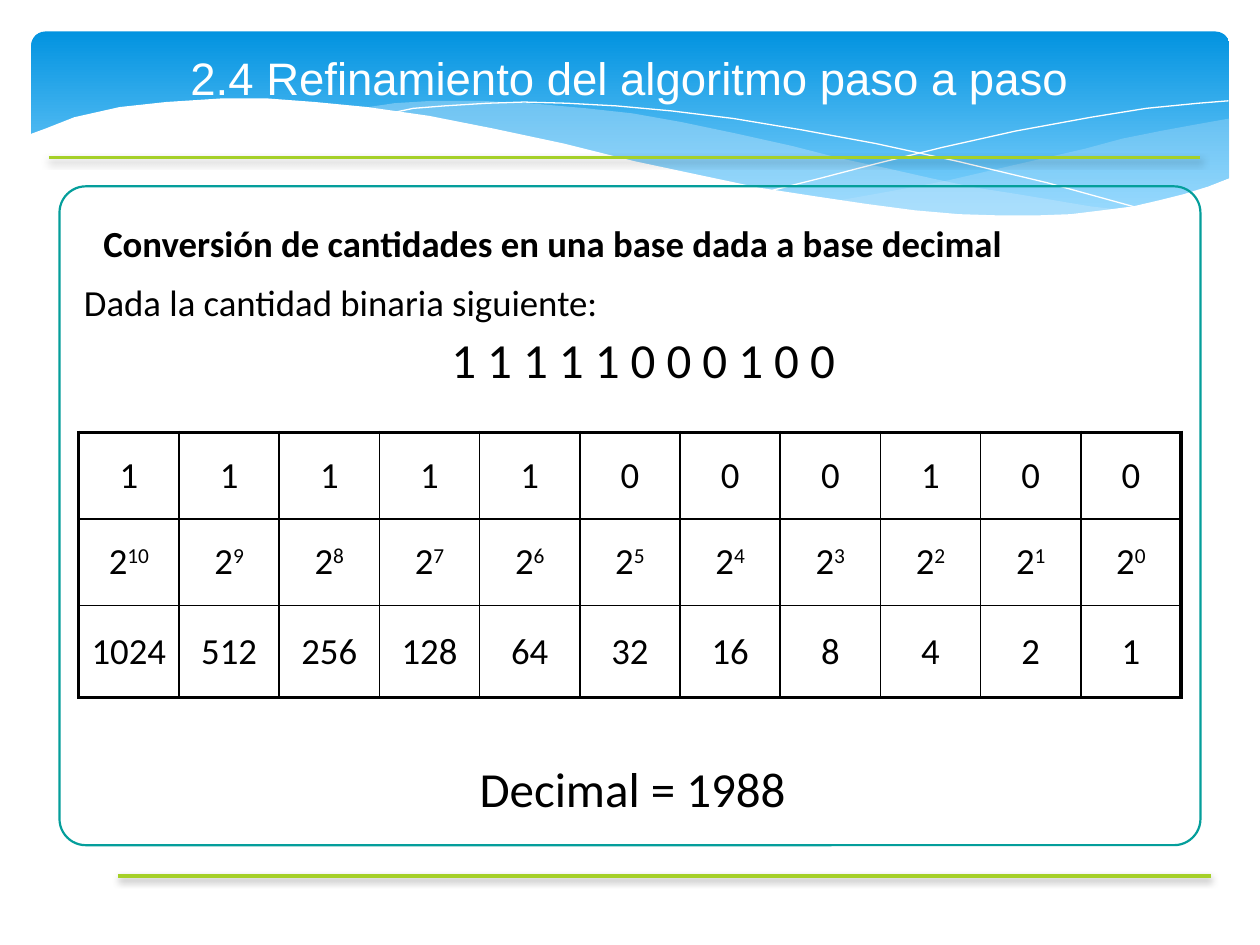
from dataclasses import dataclass
from lxml.etree import SubElement
from pptx import Presentation
from pptx.dml.color import RGBColor
from pptx.enum.shapes import MSO_CONNECTOR, MSO_SHAPE
from pptx.enum.text import MSO_ANCHOR, PP_ALIGN
from pptx.oxml.ns import qn
from pptx.util import Pt


@dataclass(frozen=True)
class Theme:
    black: str = "000000"
    white: str = "FFFFFF"
    sky_top: str = "0293E0"
    sky_bottom: str = "83D3FE"
    wave: str = "C6E7FC"
    rule: str = "A5D028"
    frame: str = "049E9B"
    body_font: str = "Calibri"
    title_font: str = "Arial"
    title_size: int = 26
    big_size: int = 28
    body_size: int = 21


@dataclass(frozen=True)
class Box:
    left: float
    top: float
    width: float
    height: float

    def inner(self, left, top, width, height):
        return Box(self.left + left, self.top + top, width, height)

    def lengths(self):
        return [Pt(value) for value in (self.left, self.top, self.width, self.height)]


THEME = Theme()

RIGHT_WAVE = [
    (684.7, 49.7), (664.6, 53.3), (645, 56.9), (623.5, 61.2), (602, 67), (561.6, 76.3),
    (524.2, 85), (490.3, 91.4), (458, 97.2), (489.6, 100.8), (518.4, 103.7), (544.3, 105.8),
    (575.3, 105.8), (603.4, 104.4), (627.8, 100.8), (650.2, 95.8), (665.3, 91.4), (684.7, 83.5)]
MIDDLE_WAVE = [
    (625, 102.2), (605.5, 100), (584.6, 96.5), (563, 92.9), (540, 89.3), (515.5, 84.2),
    (490.3, 78.5), (463, 72.7), (434.9, 65.5), (402.5, 58.3), (371.5, 51.8), (343.4, 46.8),
    (316.8, 43.9), (284.4, 41), (255.6, 39.6), (229.7, 39.6), (207.4, 41), (188, 43.9),
    (214.6, 46.8), (242.6, 51.8), (272.9, 58.3), (305.3, 65.5), (363.6, 79.2), (402.5, 87.1),
    (438.5, 94.3), (471.6, 99.4), (501.8, 103), (530, 105.1), (555, 106.6), (578, 106.6),
    (599, 105.1)]
FALLING_LINE = [
    (204.5, 46.8), (218.2, 43.9), (236.2, 42.5), (260.6, 41), (281.5, 40.3), (306, 41),
    (334, 42.5), (365.8, 45.4), (401, 49.7), (440, 56.2), (482.4, 64), (529.2, 74.2),
    (580.3, 86.4), (635, 101.5)]
RISING_LINE = [
    (423.4, 90.7), (452.2, 83.5), (482.4, 75.6), (520.6, 66.2), (562.3, 56.9), (605.5, 49),
    (637.2, 43.9), (666.7, 41), (684, 39.6)]
WHITE_WAVE = [
    (-1.5, 59), (8, 55.5), (24.5, 49), (50.4, 43.2), (77, 40.3), (109.5, 38.2), (134, 38.2),
    (162, 40.3), (192, 43.2), (227, 48.2), (263.5, 55.4), (304, 64), (344, 74), (381.6, 82),
    (416, 89.3), (448.6, 94.3), (477.4, 98.6), (504.7, 102.2), (530, 104.4), (553, 105.1),
    (574.6, 105.1), (594, 104.4), (612, 102.2), (629.3, 100), (644.4, 96.5), (658.8, 92.9),
    (672.5, 88.6), (685.4, 83.5), (685.4, 143.3), (-1.5, 143.3)]


def color(value):
    return RGBColor.from_string(value)


def add_outline(slide, box, points, closed):
    start, *rest = [(Pt(x), Pt(y)) for x, y in points]
    builder = slide.shapes.build_freeform(*start)
    builder.add_line_segments(rest, close=closed)
    shape = builder.convert_to_shape(Pt(box.left), Pt(box.top))
    shape.shadow.inherit = False
    return shape


def add_wave(slide, box, points, fill, opacity):
    shape = add_outline(slide, box, points, True)
    shape.line.fill.background()
    shape.fill.solid()
    shape.fill.fore_color.rgb = color(fill)
    if opacity < 100:
        clr = next(shape.fill._xPr.iter(qn("a:srgbClr")))
        SubElement(clr, qn("a:alpha"), val=str(opacity * 1000))


def add_curve(slide, box, points):
    shape = add_outline(slide, box, points, False)
    shape.fill.background()
    shape.line.color.rgb = color(THEME.white)
    shape.line.width = Pt(0)


def add_round_box(slide, box, radius):
    shape = slide.shapes.add_shape(MSO_SHAPE.ROUNDED_RECTANGLE, *box.lengths())
    shape.adjustments[0] = radius
    shape.shadow.inherit = False
    return shape


def add_banner(slide, box):
    sky = add_round_box(slide, box, 0.07)
    sky.line.fill.background()
    sky.fill.gradient()
    sky.fill.gradient_angle = 270
    stops = zip(sky.fill.gradient_stops, (THEME.sky_top, THEME.sky_bottom), (0, 0.9))
    for stop, value, position in stops:
        stop.color.rgb = color(value)
        stop.position = position
    add_wave(slide, box, RIGHT_WAVE, THEME.wave, 29)
    add_wave(slide, box, MIDDLE_WAVE, THEME.wave, 40)
    add_curve(slide, box, FALLING_LINE)
    add_curve(slide, box, RISING_LINE)
    add_wave(slide, box, WHITE_WAVE, THEME.white, 100)


def add_rule(slide, left, right, top):
    rule = slide.shapes.add_connector(
        MSO_CONNECTOR.STRAIGHT, Pt(left), Pt(top), Pt(right), Pt(top))
    rule.line.color.rgb = color(THEME.rule)
    rule.line.width = Pt(2)
    effects = SubElement(rule._element.spPr, qn("a:effectLst"))
    shadow = SubElement(effects, qn("a:outerShdw"), blurRad=str(Pt(4)), dist=str(Pt(2)),
                        dir="5400000", rotWithShape="0")
    clr = SubElement(shadow, qn("a:srgbClr"), val=THEME.black)
    SubElement(clr, qn("a:alpha"), val="38000")


def style(paragraph, size, value=THEME.black, name=THEME.body_font, bold=False):
    paragraph.font.size = Pt(size)
    paragraph.font.name = name
    paragraph.font.bold = bold
    paragraph.font.color.rgb = color(value)


def add_text(slide, box, text, align, margin=None, hanging=None, line_spacing=None,
             before=0, anchor=MSO_ANCHOR.TOP, **font):
    frame = slide.shapes.add_textbox(*box.lengths()).text_frame
    frame.word_wrap = True
    frame.vertical_anchor = anchor
    if margin:
        frame.margin_left, frame.margin_top = Pt(margin[0]), Pt(margin[1])
    paragraph = frame.paragraphs[0]
    paragraph.text = text
    paragraph.alignment = align
    paragraph.space_before = Pt(before)
    if line_spacing:
        paragraph.line_spacing = line_spacing
    if hanging:
        properties = paragraph._p.get_or_add_pPr()
        properties.set("marL", str(Pt(hanging[0])))
        properties.set("indent", str(Pt(-hanging[1])))
    style(paragraph, **font)


def add_borders(cell, widths):
    properties = cell._tc.get_or_add_tcPr()
    for side, width in zip("LRTB", widths):
        line = SubElement(properties, qn(f"a:ln{side}"), w=str(Pt(width)))
        fill = SubElement(line, qn("a:solidFill"))
        SubElement(fill, qn("a:srgbClr"), val=THEME.black)
    cell.fill.background()


def add_powers_table(slide, box, bits):
    last = len(bits) - 1
    powers = range(last, -1, -1)
    rows = [[(bit, "") for bit in bits],
            [("2", str(power)) for power in powers],
            [(str(2 ** power), "") for power in powers]]
    table = slide.shapes.add_table(len(rows), len(bits), *box.lengths()).table
    table.first_row = table.horz_banding = False
    for row, height in zip(table.rows, (49.5, 49.5, 52.5)):
        row.height = Pt(height)
    for column in table.columns:
        column.width = Pt(box.width / len(bits))
    for i, row in enumerate(rows):
        for j, (base, exponent) in enumerate(row):
            cell = table.cell(i, j)
            cell.vertical_anchor = MSO_ANCHOR.MIDDLE
            edges = (j == 0, j == last, i == 0, i == len(rows) - 1)
            add_borders(cell, [2.25 if edge else 1 for edge in edges])
            paragraph = cell.text_frame.paragraphs[0]
            paragraph.alignment = PP_ALIGN.CENTER
            paragraph.space_before = Pt(4)
            style(paragraph, THEME.body_size)
            paragraph.add_run().text = base
            if exponent:
                run = paragraph.add_run()
                run.text = exponent
                run.font._element.set("baseline", "30000")


def add_conversion(slide, box, bits):
    frame = add_round_box(slide, box, 0.04)
    frame.fill.background()
    frame.line.color.rgb = color(THEME.frame)
    frame.line.width = Pt(1.25)
    big = dict(align=PP_ALIGN.CENTER, hanging=(27, 27), line_spacing=0.9, before=5.6,
               size=THEME.big_size)
    body = dict(align=PP_ALIGN.LEFT, margin=(4.5, 7.2), hanging=(34.5, 25), line_spacing=0.8,
                before=4.2, size=THEME.body_size)
    add_text(slide, box.inner(152, 82, 363, 42), " ".join(bits), **big)
    add_powers_table(slide, box.inner(11, 140.5, 630, 151.5), bits)
    add_text(slide, box.inner(146, 327, 363, 34), f"Decimal = {int(bits, 2)}", **big)
    add_text(slide, box.inner(0, 51, 326, 40), "Dada la cantidad binaria siguiente:", **body)
    add_text(slide, box.inner(11, 17.5, 613, 42),
             "Conversión de cantidades en una base dada a base decimal", bold=True, **body)


presentation = Presentation()
presentation.slide_width, presentation.slide_height = Pt(720), Pt(540)
slide = presentation.slides.add_slide(presentation.slide_layouts[6])
add_banner(slide, Box(18, 18, 684.5, 112.5))
add_rule(slide, 28, 686, 90)
add_rule(slide, 67.5, 692, 500.5)
add_conversion(slide, Box(34, 106.5, 652, 376.5), "11111000100")
add_text(slide, Box(0, 0, 720, 88.5), "2.4 Refinamiento del algoritmo paso a paso",
         PP_ALIGN.CENTER, anchor=MSO_ANCHOR.MIDDLE, size=THEME.title_size,
         value=THEME.white, name=THEME.title_font)
presentation.save("out.pptx")
